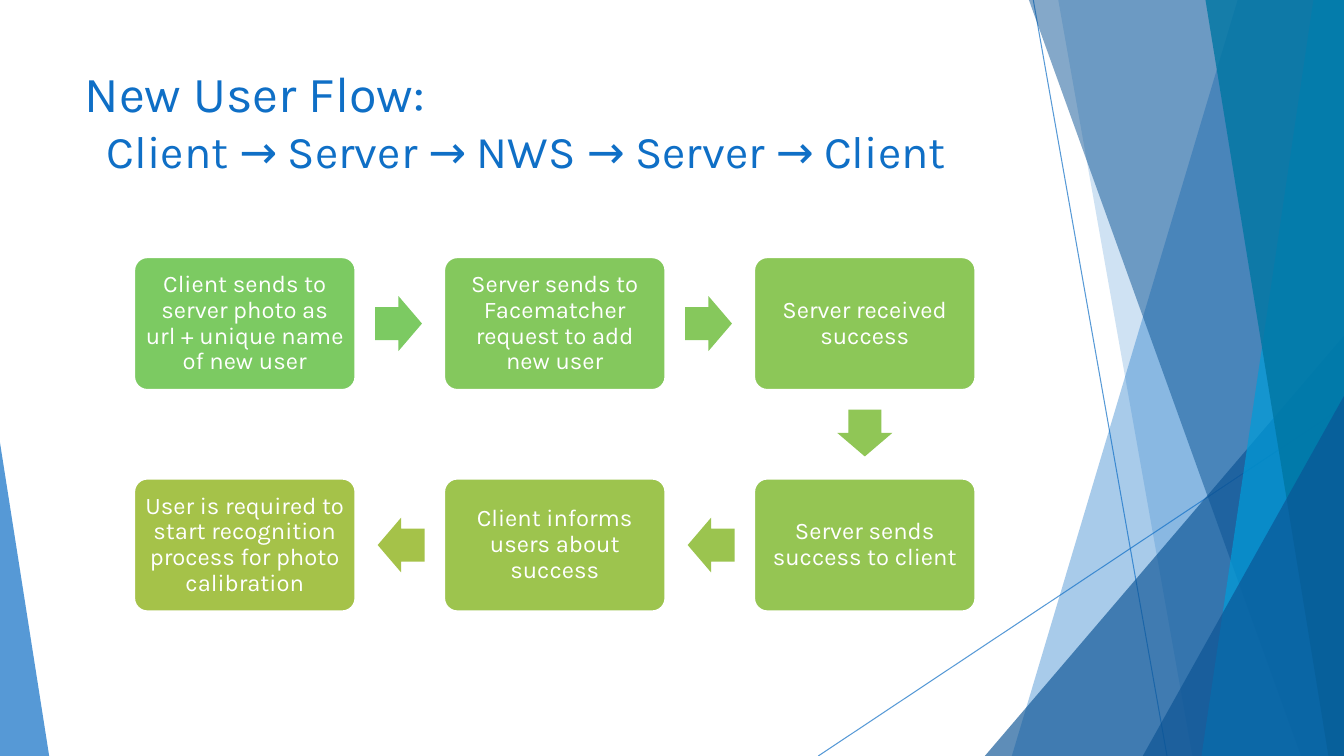
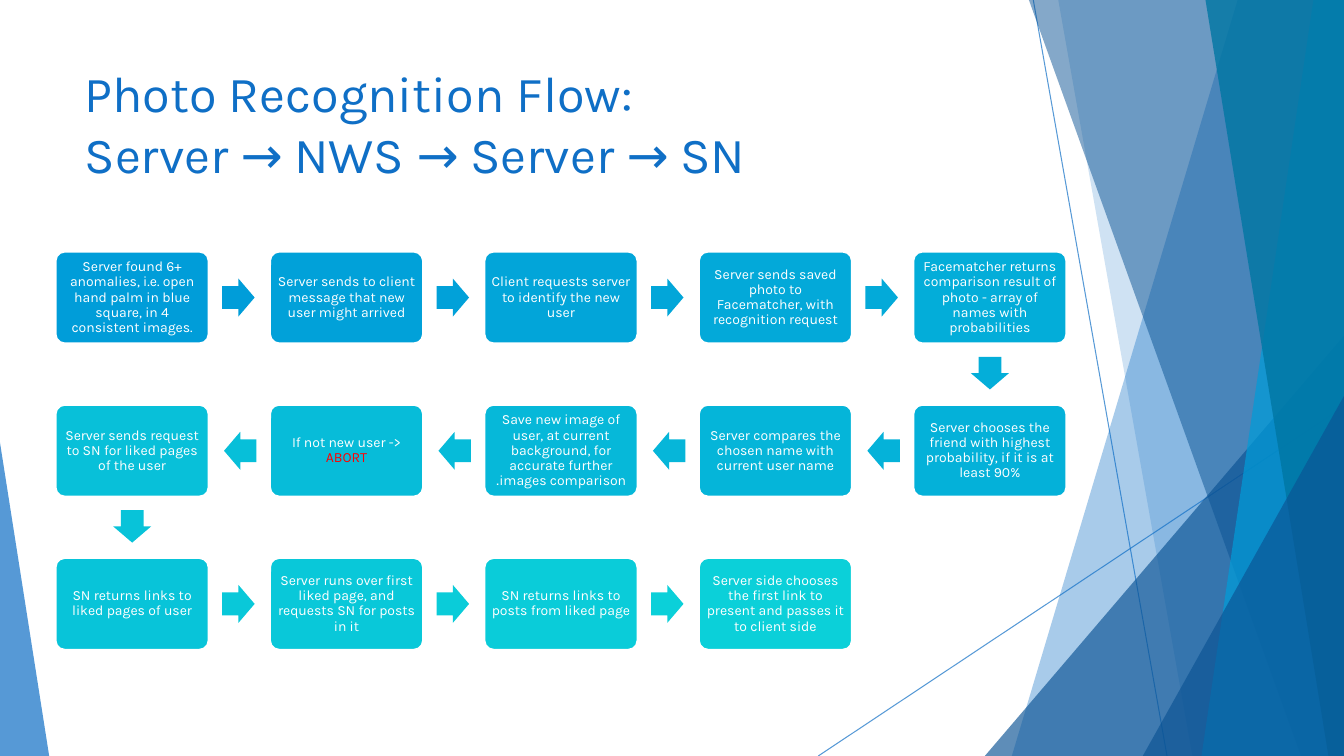
from pptx import Presentation
from pptx.dml.color import RGBColor
from pptx.enum.shapes import MSO_CONNECTOR, MSO_SHAPE
from pptx.enum.text import MSO_ANCHOR, MSO_AUTO_SIZE, PP_ALIGN
from pptx.oxml.ns import qn
from pptx.util import Cm, Pt
from lxml import etree

# Shared look
FONT = "Karla"
WIDTH, HEIGHT = 33.87, 19.05
BLUE = RGBColor(0x0F, 0x6F, 0xC6)
NAVY = RGBColor(0x0B, 0x53, 0x94)
SKY = RGBColor(0x00, 0x9D, 0xD9)
TEAL = RGBColor(0x00, 0x76, 0xA3)
AQUA = RGBColor(0x0B, 0xD0, 0xD9)
GREEN = RGBColor(0x7C, 0xCA, 0x62)
OLIVE = RGBColor(0xA5, 0xC2, 0x49)
WHITE = RGBColor(0xFF, 0xFF, 0xFF)
RED = RGBColor(0xFF, 0x00, 0x00)

# Back to front: kind, geometry in cm, colour, opacity in percent
DECOR = [
    ("line", (26.04, 0, 29.41, HEIGHT), BLUE, 70),
    ("line", (WIDTH, 10.24, 20.62, HEIGHT), BLUE, 70),
    ("band", (31.19, 25.5), BLUE, 36),
    ("band", (26.67, 30.05), BLUE, 20),
    ("triangle", (24.82, 8.46, 9.05, 10.59, 1), NAVY, 66),
    ("band", (25.93, 32.79), NAVY, 50),
    ("band", (33.1, 30.28), SKY, 70),
    ("band", (30.38, 33.48), TEAL, 80),
    ("triangle", (28.8, 9.98, 5.07, 9.07, 1), NAVY, 66),
    ("triangle", (0, 11.15, 1.24, 7.9, 0), BLUE, 70),
]

# Slide content: titles are (text, size, indent in cm)
FLOWS = [
    {
        "title": [("New User Flow:", 36, 0),
                  ("Client → Server → NWS → Server → Client", 32.4, 0.56)],
        "origin": (3.38, 6.48), "box_w": 5.58, "columns": 3,
        "size": 17, "inset": 0.15, "colors": (GREEN, OLIVE),
        "steps": [
            "Client sends to server photo as url + unique name of new user",
            "Server sends to Facematcher request to add new user",
            "Server received success",
            "Server sends success to client",
            "Client informs users about success",
            "User is required to start recognition process for photo calibration",
        ],
    },
    {
        "title": [("Photo Recognition Flow:", 36, 0),
                  ("Server → NWS → Server → SN", 36, 0)],
        "origin": (1.4, 6.34), "box_w": 3.86, "columns": 5,
        "size": 10, "inset": 0.09, "colors": (SKY, AQUA),
        "steps": [
            "Server found 6+ anomalies, i.e. open hand palm in blue square, "
            "in 4 consistent images.",
            "Server sends to client message that new user might arrived",
            "Client requests server to identify the new user",
            "Server sends saved photo to Facematcher, with recognition request",
            "Facematcher returns comparison result of photo - array of names "
            "with probabilities",
            "Server chooses the friend with highest probability, if it is at "
            "least 90%",
            "Server compares the chosen name with current user name",
            "Save new image of user, at current background, for accurate "
            "further images comparison.",
            "If not new user -> ABORT",
            "Server sends request to SN for liked pages of the user",
            "SN returns links to liked pages of user",
            "Server runs over first liked page, and requests SN for posts in it",
            "SN returns links to posts from liked page",
            "Server side chooses the first link to present and passes it to "
            "client side",
        ],
    },
]
ALERT = "ABORT"
RTL_ENDING = "images comparison."


def set_all(obj, values):
    for name, value in values.items():
        setattr(obj, name, value)


def blend(colors, t):
    return RGBColor(*(round(a + (b - a) * t) for a, b in zip(*colors)))


def paint(shape, color, outline=None):
    shape.shadow.inherit = False
    shape.fill.solid()
    shape.fill.fore_color.rgb = color
    if outline is None:
        shape.line.fill.background()
    else:
        shape.line.color.rgb = outline
        shape.line.width = Pt(1.5)


def add_run(p, text, size, color):
    r = p.add_run()
    r.text = text
    set_all(r.font, {"name": FONT, "size": Pt(size)})
    r.font.color.rgb = color


# Background decoration
def add_line(s, geometry, color):
    line = s.shapes.add_connector(MSO_CONNECTOR.STRAIGHT, *map(Cm, geometry))
    line.line.color.rgb = color
    line.line.width = Pt(0.75)
    etree.SubElement(line.element.spPr, qn("a:effectLst"))
    return line


def add_band(s, geometry, color):
    top_x, bottom_x = geometry
    outline = s.shapes.build_freeform(Cm(top_x), 0)
    corners = [(WIDTH, 0), (WIDTH, HEIGHT), (bottom_x, HEIGHT)]
    outline.add_line_segments([(Cm(x), Cm(y)) for x, y in corners], close=True)
    band = outline.convert_to_shape()
    paint(band, color)
    return band


def add_triangle(s, geometry, color):
    *box, apex = geometry
    triangle = s.shapes.add_shape(MSO_SHAPE.ISOSCELES_TRIANGLE, *map(Cm, box))
    triangle.adjustments[0] = apex
    paint(triangle, color)
    return triangle


def decorate(layout, s):
    """Draw the decoration on s, then move it behind the layout's title."""
    makers = {"line": add_line, "band": add_band, "triangle": add_triangle}
    for i, (kind, geometry, color, opacity) in enumerate(DECOR):
        el = makers[kind](s, geometry, color).element
        clr = next(el.spPr.iter(qn("a:srgbClr")))
        etree.SubElement(clr, qn("a:alpha")).set("val", str(opacity * 1000))
        next(el.iter(qn("p:cNvPr"))).set("id", str(20 + i))
        layout.shapes.element.insert(2 + i, el)


def prepare_layout(layout):
    for ph in list(layout.placeholders):
        if ph.placeholder_format.idx != 0:
            ph.element.getparent().remove(ph.element)
        else:
            set_all(ph, {"left": Cm(1.88), "top": Cm(1.45),
                         "width": Cm(25), "height": Cm(3.66)})


# Slide parts
def add_title(s, lines):
    tf = s.shapes.title.text_frame
    set_all(tf, {"vertical_anchor": MSO_ANCHOR.TOP, "word_wrap": True,
                 "auto_size": MSO_AUTO_SIZE.NONE})
    for i, (text, size, indent) in enumerate(lines):
        p = tf.add_paragraph() if i else tf.paragraphs[0]
        p.alignment = PP_ALIGN.LEFT
        p._p.get_or_add_pPr().set("marL", str(Cm(indent)))
        add_run(p, text, size, BLUE)


def add_step(s, text, center, flow, color):
    w = flow["box_w"]
    h = 0.6 * w
    x, y = center
    box = s.shapes.add_shape(MSO_SHAPE.ROUNDED_RECTANGLE, Cm(x - w / 2),
                             Cm(y - h / 2), Cm(w), Cm(h))
    box.adjustments[0] = 0.1
    paint(box, color, WHITE)
    tf = box.text_frame
    inset = Cm(flow["inset"])
    set_all(tf, {"word_wrap": True, "vertical_anchor": MSO_ANCHOR.MIDDLE,
                 "margin_left": inset, "margin_right": inset,
                 "margin_top": inset, "margin_bottom": inset})
    p = tf.paragraphs[0]
    set_all(p, {"alignment": PP_ALIGN.CENTER, "line_spacing": 0.9})
    if text.endswith(RTL_ENDING):
        p._p.get_or_add_pPr().set("rtl", "1")
    before, alert, _ = text.partition(ALERT)
    add_run(p, before, flow["size"], WHITE)
    if alert:
        add_run(p, alert, flow["size"], RED)


def add_arrow(s, start, end, w, color):
    """Place an arrow just past the edge of the box it leaves."""
    (x, y), (x2, y2) = start, end
    if abs(x2 - x) < 0.01:
        y, angle = y + 0.494 * w, 90
    elif x2 > x:
        x, angle = x + 0.694 * w, 0
    else:
        x, angle = x - 0.694 * w, 180
    aw, ah = 0.212 * w, 0.248 * w
    arrow = s.shapes.add_shape(MSO_SHAPE.RIGHT_ARROW, Cm(x - aw / 2),
                               Cm(y - ah / 2), Cm(aw), Cm(ah))
    arrow.adjustments[0] = 0.6
    arrow.adjustments[1] = 0.5
    arrow.rotation = angle
    paint(arrow, color)


def step_centers(flow):
    """Snake through the rows: rightwards, then leftwards, and so on."""
    left, top = flow["origin"]
    w, columns = flow["box_w"], flow["columns"]
    centers = []
    for i in range(len(flow["steps"])):
        row, col = divmod(i, columns)
        if row % 2:
            col = columns - 1 - col
        centers.append((left + w * (0.5 + 1.4 * col), top + w * (0.3 + row)))
    return centers


def add_flow(s, flow):
    centers = step_centers(flow)
    last = len(centers) - 1
    for i, (text, center) in enumerate(zip(flow["steps"], centers)):
        add_step(s, text, center, flow, blend(flow["colors"], i / last))
        if i < last:
            add_arrow(s, center, centers[i + 1], flow["box_w"],
                      blend(flow["colors"], i / (last - 1)))


def main():
    prs = Presentation()
    set_all(prs, {"slide_width": Cm(WIDTH), "slide_height": Cm(HEIGHT)})
    layout = prs.slide_layouts[5]
    prepare_layout(layout)
    for i, flow in enumerate(FLOWS):
        s = prs.slides.add_slide(layout)
        if i == 0:
            decorate(layout, s)
        add_title(s, flow["title"])
        add_flow(s, flow)
    prs.save("out.pptx")


main()
